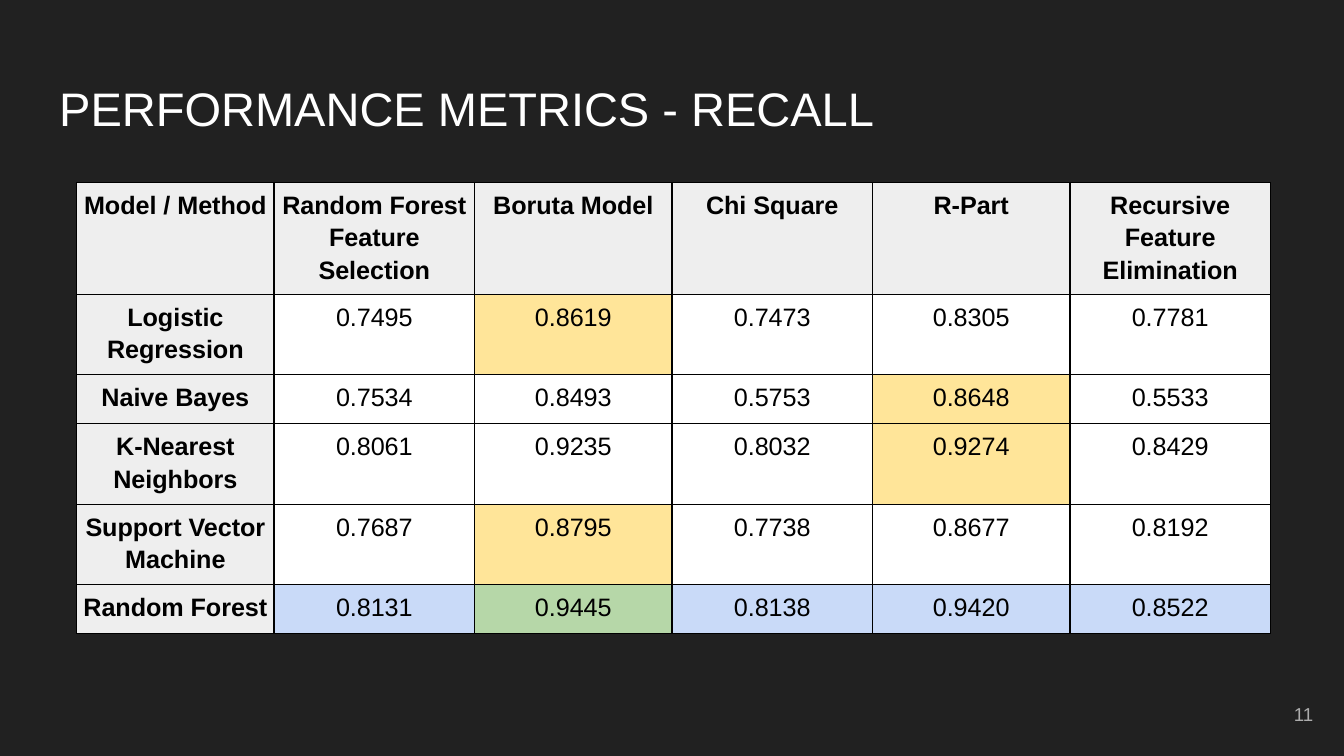
from lxml import etree
from pptx import Presentation
from pptx.dml.color import RGBColor
from pptx.enum.text import MSO_ANCHOR as Anchor, PP_ALIGN as Align
from pptx.oxml.ns import qn
from pptx.util import Cm, Pt

COLORS = {
    "background": "212121",
    "title": "FFFFFF",
    "number": "ADADAD",
    "text": "000000",
    "border": "000000",
    "header": "EEEEEE",
    "plain": "FFFFFF",
    "row_best": "FFE599",
    "top_model": "C9DAF8",
    "overall_best": "B6D7A8",
}
METHODS = ["Random Forest Feature Selection", "Boruta Model", "Chi Square",
           "R-Part", "Recursive Feature Elimination"]
RECALL = {
    "Logistic Regression": [0.7495, 0.8619, 0.7473, 0.8305, 0.7781],
    "Naive Bayes": [0.7534, 0.8493, 0.5753, 0.8648, 0.5533],
    "K-Nearest Neighbors": [0.8061, 0.9235, 0.8032, 0.9274, 0.8429],
    "Support Vector Machine": [0.7687, 0.8795, 0.7738, 0.8677, 0.8192],
    "Random Forest": [0.8131, 0.9445, 0.8138, 0.9420, 0.8522],
}
COLUMN_WIDTHS = [3.73, 3.79] * 3
ROW_HEIGHTS = [2.11, 1.52, 0.93, 1.52, 1.52, 0.93]


def color(name):
    return RGBColor.from_string(COLORS[name])


def write_text(frame, text, *, size, ink, bold=False, align=Align.LEFT, spacing=1.0):
    para = frame.paragraphs[0]
    para.alignment = align
    para.line_spacing = spacing
    span = para.add_run()
    span.text = text
    span.font.name = "Arial"
    span.font.size = Pt(size)
    span.font.bold = bold
    span.font.color.rgb = color(ink)


def add_text(page, text, left, top, width, height, anchor=Anchor.TOP, **text_format):
    box = page.shapes.add_textbox(Cm(left), Cm(top), Cm(width), Cm(height))
    frame = box.text_frame
    frame.word_wrap = True
    frame.vertical_anchor = anchor
    frame.margin_left = frame.margin_right = Cm(0.25)
    frame.margin_top = frame.margin_bottom = Cm(0.25)
    write_text(frame, text, **text_format)


def add_borders(cell):
    properties = cell._tc.get_or_add_tcPr()
    for position, side in enumerate(("lnL", "lnR", "lnT", "lnB")):
        line = etree.Element(qn(f"a:{side}"), w=str(Pt(0.75)))
        fill = etree.SubElement(line, qn("a:solidFill"))
        etree.SubElement(fill, qn("a:srgbClr"), val=COLORS["border"])
        properties.insert(position, line)


def format_cell(cell, text, fill, bold):
    cell.fill.solid()
    cell.fill.fore_color.rgb = color(fill)
    cell.margin_left = cell.margin_right = Cm(0.1)
    cell.margin_top = cell.margin_bottom = Cm(0.1)
    write_text(cell.text_frame, text, size=13.5, ink="text", bold=bold,
               align=Align.CENTER, spacing=1.15)
    add_borders(cell)


def value_fill(model, value):
    best = value == max(RECALL[model])
    if model == "Random Forest":
        return "overall_best" if best else "top_model"
    return "row_best" if best else "plain"


def add_recall_table(page, left, top):
    frame = page.shapes.add_table(
        len(ROW_HEIGHTS), len(COLUMN_WIDTHS), Cm(left), Cm(top),
        Cm(sum(COLUMN_WIDTHS)), Cm(sum(ROW_HEIGHTS)))
    table = frame.table
    for column, width in zip(table.columns, COLUMN_WIDTHS):
        column.width = Cm(width)
    for row, height in zip(table.rows, ROW_HEIGHTS):
        row.height = Cm(height)
    for index, heading in enumerate(["Model / Method"] + METHODS):
        format_cell(table.cell(0, index), heading, "header", True)
    for row, (model, values) in enumerate(RECALL.items(), 1):
        format_cell(table.cell(row, 0), model, "header", True)
        for column, value in enumerate(values, 1):
            format_cell(table.cell(row, column), f"{value:.4f}",
                        value_fill(model, value), False)


def main():
    deck = Presentation()
    deck.slide_width, deck.slide_height = Cm(25.4), Cm(14.29)
    page = deck.slides.add_slide(deck.slide_layouts[6])
    page.background.fill.solid()
    page.background.fill.fore_color.rgb = color("background")
    add_recall_table(page, 1.45, 3.45)
    add_text(page, "PERFORMANCE METRICS - RECALL", 0.87, 1.25, 23.67, 1.6,
             size=25.2, ink="title")
    add_text(page, "11", 23.55, 12.95, 1.52, 1.09, anchor=Anchor.MIDDLE,
             size=10, ink="number", align=Align.RIGHT)
    deck.save("out.pptx")


if __name__ == "__main__":
    main()
